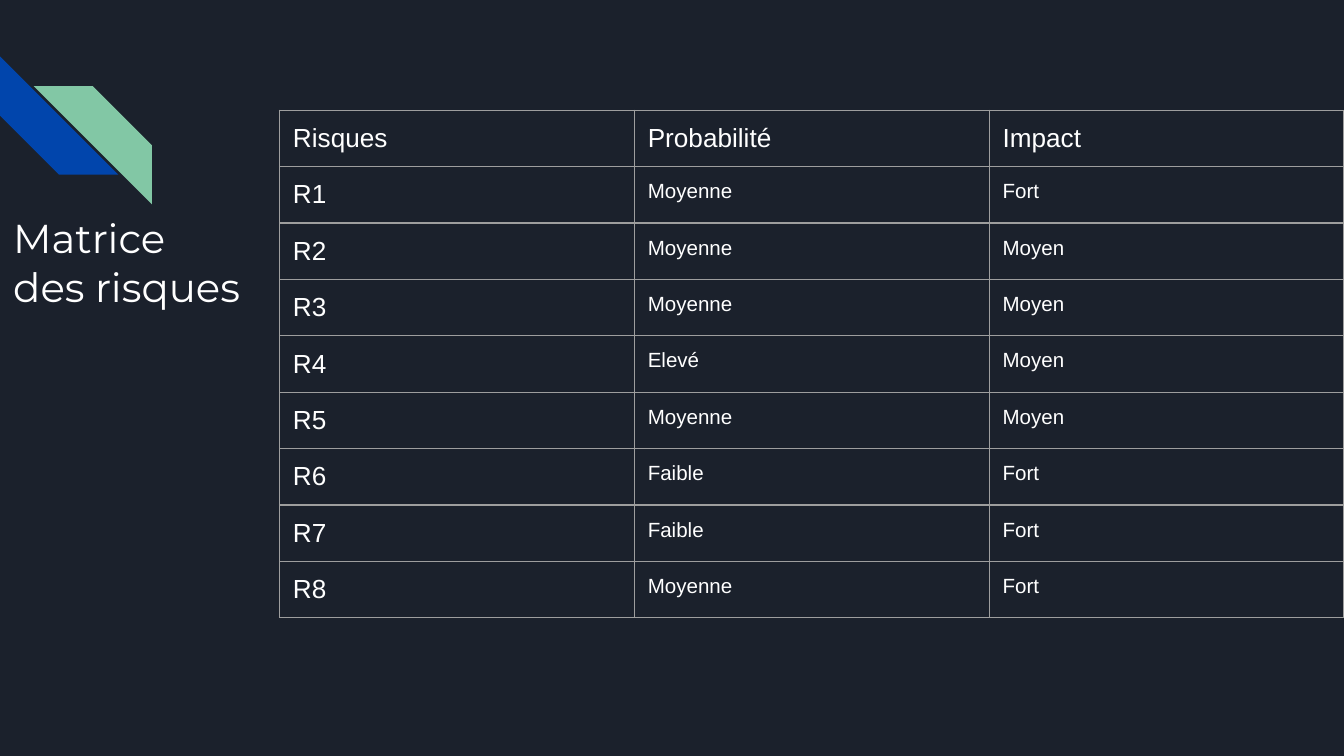
"""Build the risk matrix slide."""
from lxml import etree
from pptx import Presentation
from pptx.dml.color import RGBColor
from pptx.enum.shapes import MSO_SHAPE
from pptx.enum.text import MSO_ANCHOR
from pptx.oxml.ns import qn
from pptx.util import Inches, Pt

STRIPE = MSO_SHAPE.DIAGONAL_STRIPE
TOP = MSO_ANCHOR.TOP
NAVY = RGBColor(0x1B, 0x21, 0x2C)
BLUE = RGBColor(0x01, 0x45, 0xAC)
GREEN = RGBColor(0x82, 0xC7, 0xA5)
GREY = RGBColor(0x9E, 0x9E, 0x9E)
WHITE = RGBColor(0xFF, 0xFF, 0xFF)

RISKS = [
    ("Risques", "Probabilité", "Impact"),
    ("R1", "Moyenne", "Fort"),
    ("R2", "Moyenne", "Moyen"),
    ("R3", "Moyenne", "Moyen"),
    ("R4", "Elevé", "Moyen"),
    ("R5", "Moyenne", "Moyen"),
    ("R6", "Faible", "Fort"),
    ("R7", "Faible", "Fort"),
    ("R8", "Moyenne", "Fort"),
]


def write(frame, text, size=14, font="Arial", color=WHITE):
    frame.text = text
    for paragraph in frame.paragraphs:
        for run in paragraph.runs:
            run.font.size = Pt(size)
            run.font.name = font
            run.font.color.rgb = color


class RiskSlide:
    inset = Inches(0.1)
    cell_bottom = Inches(0.08)
    border = Pt(0.75)

    def __init__(self, deck):
        self.slide = deck.slides.add_slide(deck.slide_layouts[6])
        background = self.slide.background.fill
        background.solid()
        background.fore_color.rgb = NAVY

    def pad(self, box):
        box.margin_left = box.margin_right = self.inset
        box.margin_top = box.margin_bottom = self.inset
        box.vertical_anchor = TOP

    def stripe(self, left, top, side, rotation, color):
        stripe = self.slide.shapes.add_shape(
            STRIPE, Inches(left), Inches(top), Inches(side), Inches(side))
        stripe.rotation = rotation
        stripe.shadow.inherit = False
        stripe.fill.solid()
        stripe.fill.fore_color.rgb = color
        stripe.line.fill.background()

    def title(self, text, left, top, width, height):
        title = self.slide.shapes.add_textbox(
            Inches(left), Inches(top), Inches(width), Inches(height))
        title.text_frame.word_wrap = True
        self.pad(title.text_frame)
        write(title.text_frame, text, size=21.6, font="Montserrat")

    def outline(self, cell):
        properties = cell._tc.get_or_add_tcPr()
        for side in ("a:lnL", "a:lnR", "a:lnT", "a:lnB"):
            edge = etree.SubElement(properties, qn(side), w=str(self.border))
            paint = etree.SubElement(edge, qn("a:solidFill"))
            etree.SubElement(paint, qn("a:srgbClr"), val=str(GREY))

    def matrix(self, rows, left, top, side, column_width, row_height):
        holder = self.slide.shapes.add_table(
            len(rows), len(rows[0]), Inches(left), Inches(top),
            Inches(side), Inches(side))
        matrix = holder.table
        matrix.first_row = matrix.horz_banding = False
        for column in matrix.columns:
            column.width = Inches(column_width)
        for r, (row, values) in enumerate(zip(matrix.rows, rows)):
            row.height = Inches(row_height)
            for c, (cell, value) in enumerate(zip(row.cells, values)):
                self.pad(cell)
                cell.margin_bottom = self.cell_bottom
                self.outline(cell)
                cell.fill.background()
                write(cell.text_frame, value, size=11 if r and c else 14)
        holder.width = holder.height = Inches(side)


def main():
    deck = Presentation()
    deck.slide_width, deck.slide_height = Inches(10), Inches(10 * 9 / 16)
    page = RiskSlide(deck)
    page.stripe(0, 0.42, 0.88, 270, BLUE)
    page.stripe(0.25, 0.64, 0.88, 90, GREEN)
    page.title("Matrice\ndes risques", 0, 1.49, 9.32, 0.63)
    page.matrix(RISKS, 2.08, 0.82, 3.28, 2.64, 0.42)
    deck.save("out.pptx")


if __name__ == "__main__":
    main()
